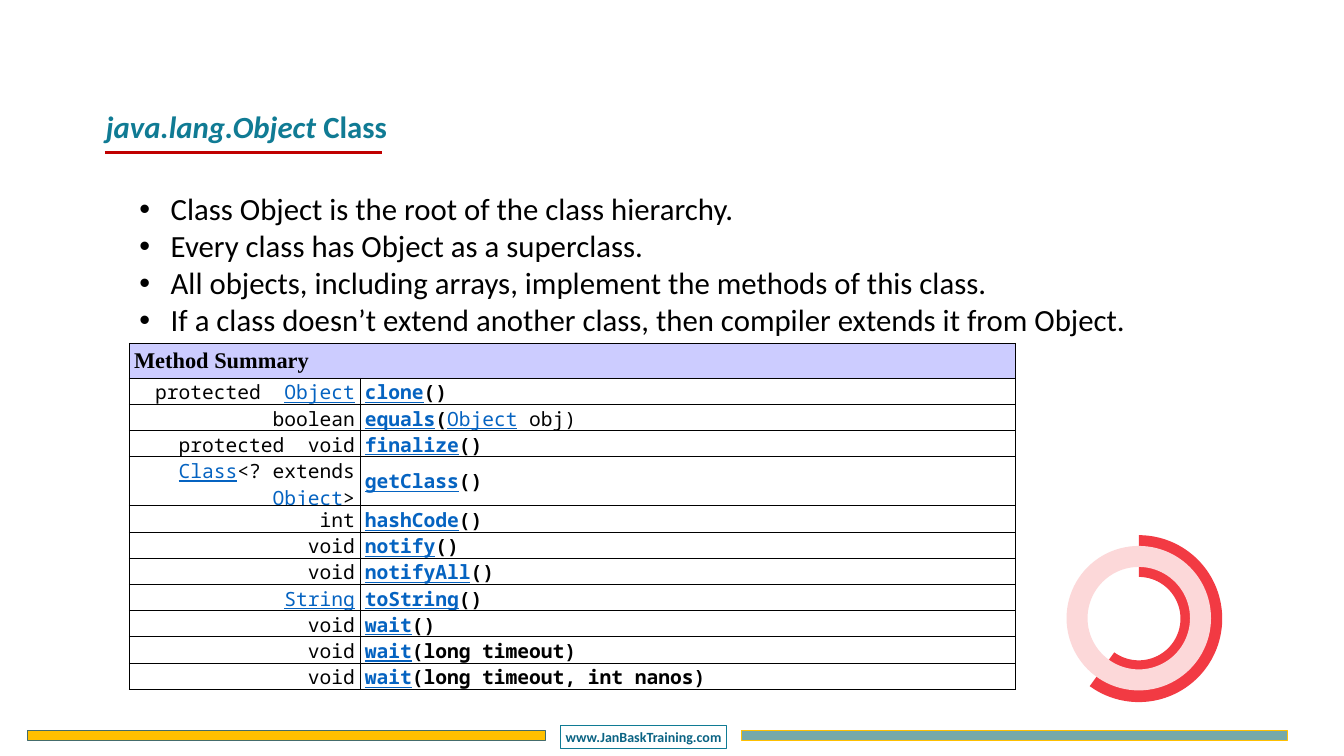
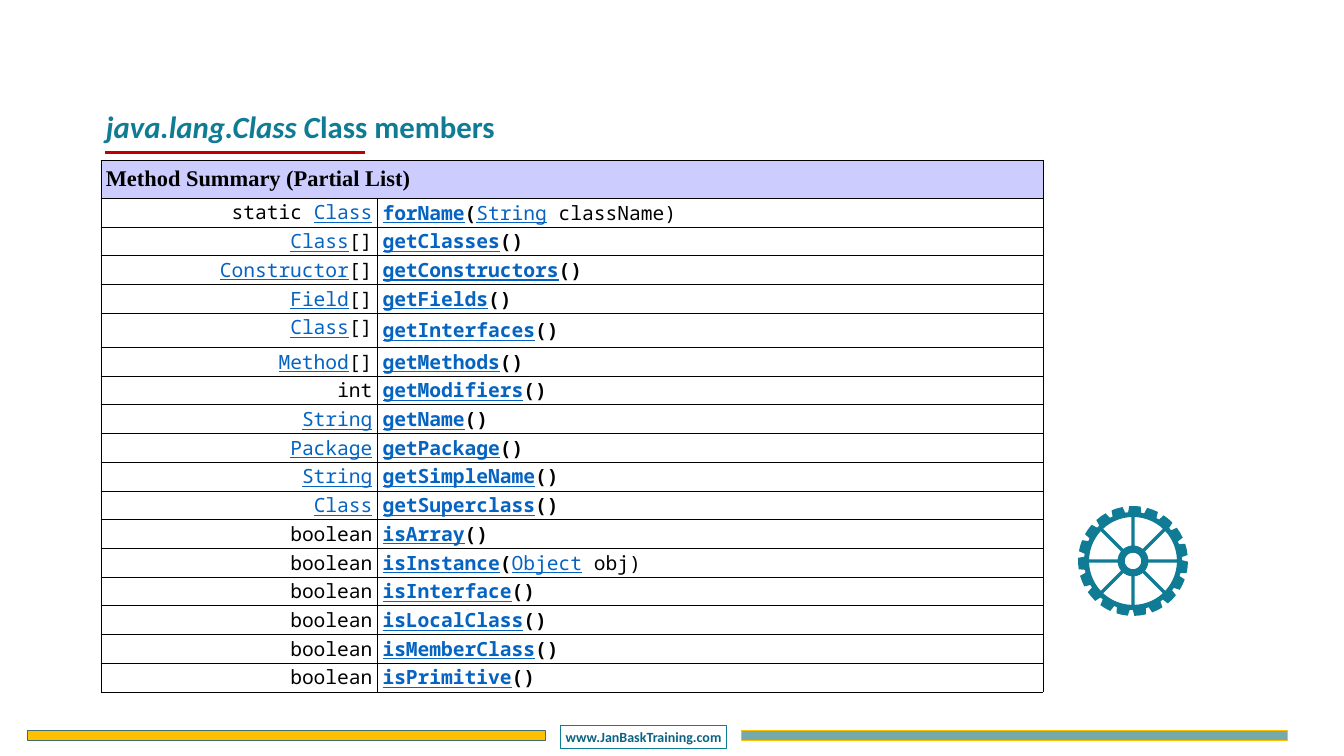
import math
from dataclasses import dataclass

from lxml import etree
from pptx import Presentation
from pptx import util as u
from pptx.chart.data import CategoryChartData
from pptx.dml.color import RGBColor
from pptx.enum import chart as charts, shapes, text
from pptx.oxml import parse_xml
from pptx.oxml.ns import nsdecls, qn


@dataclass(frozen=True)
class Theme:
    teal: str = "107B94"
    deep_teal: str = "0A6383"
    sage: str = "76A9A9"
    dark_sage: str = "446C6C"
    gold: str = "FFC000"
    crimson: str = "C00000"
    red: str = "F23A43"
    blush: str = "FCD8D9"
    link: str = "0563C1"
    lavender: str = "CCCCFF"
    black: str = "000000"
    white: str = "FFFFFF"
    sans: str = "Calibri"
    mono: str = "Noto Sans Mono"
    serif: str = "Times New Roman"
    chart_font: str = "Roboto"
    large: int = 44
    header: int = 32
    code: int = 28
    label: int = 20
    chart_size: int = 18


THEME = Theme()
WIDTH, HEIGHT = u.Inches(26.67), u.Inches(15)
COLUMN, ROW = WIDTH / 80, HEIGHT / 45


@dataclass(frozen=True)
class Box:
    left: float
    top: float
    width: float
    height: float

    def inside(self, left, top, width, height):
        return Box(self.left + left, self.top + top, width, height)

    def emu(self):
        return (round(self.left * COLUMN), round(self.top * ROW),
                round(self.width * COLUMN), round(self.height * ROW))


FOOTER = Box(1.62, 43.2, 75, 1.32)
HEADING = Box(6, 6.24, 56.1, 5.91)
BULLETS = Box(8, 11.16, 65.55, 9.18)
OBJECT_TABLE = Box(7.68, 20.43, 52.77, 22.17)
CLASS_TABLE = Box(6, 9.51, 56.1, 31.74)
DOUGHNUT = Box(60.78, 30.15, 13.23, 12.36)
GEAR = Box(64.17, 30.12, 6.54, 6.54)

OBJECT_METHODS = [
    ("protected  {Object}", "{clone}()"),
    ("boolean", "{equals}({Object} obj)"),
    ("protected  void", "{finalize}()"),
    ("{Class}<? extends {Object}>", "{getClass}()"),
    ("int", "{hashCode}()"),
    ("void", "{notify}()"),
    ("void", "{notifyAll}()"),
    ("{String}", "{toString}()"),
    ("void", "{wait}()"),
    ("void", "{wait}(long timeout)"),
    ("void", "{wait}(long timeout, int nanos)"),
]
CLASS_METHODS = [
    ("static {Class}", "{forName}({String} className)"),
    ("{Class}[]", "{getClasses}()"),
    ("{Constructor}[]", "{getConstructors}()"),
    ("{Field}[]", "{getFields}()"),
    ("{Class}[]", "{getInterfaces}()"),
    ("{Method}[]", "{getMethods}()"),
    ("int", "{getModifiers}()"),
    ("{String}", "{getName}()"),
    ("{Package}", "{getPackage}()"),
    ("{String}", "{getSimpleName}()"),
    ("{Class}", "{getSuperclass}()"),
    ("boolean", "{isArray}()"),
    ("boolean", "{isInstance}({Object} obj)"),
    ("boolean", "{isInterface}()"),
    ("boolean", "{isLocalClass}()"),
    ("boolean", "{isMemberClass}()"),
    ("boolean", "{isPrimitive}()"),
]


def assign(target, values):
    for name, value in values.items():
        setattr(target, name, value)


def place(shape, box):
    assign(shape, dict(zip(("left", "top", "width", "height"), box.emu())))


def paint(fill, colour):
    if colour:
        fill.solid()
        fill.fore_color.rgb = RGBColor.from_string(colour)
    else:
        fill.background()


def write(para, words, size, name, colour, **values):
    span = para.add_run()
    span.text = words
    assign(span.font, {"size": u.Pt(size), "name": name, **values})
    span.font.color.rgb = RGBColor.from_string(colour)


def add_preset(page, kind, box, fill=None, line=None, weight=1):
    shape = page.shapes.add_shape(kind, *box.emu())
    shape.shadow.inherit = False
    paint(shape.fill, fill)
    paint(shape.line.fill, line)
    shape.line.width = u.Pt(weight)
    return shape


def add_footer(page, box):
    bar = shapes.MSO_SHAPE.RECTANGLE
    left = add_preset(page, bar, box.inside(0, 0.3, 30.84, 0.54), THEME.gold, THEME.dark_sage)
    label = add_preset(page, bar, box.inside(31.74, 0, 9.9, 1.32), None, THEME.teal, 0.75)
    right = add_preset(page, bar, box.inside(42.51, 0.3, 32.49, 0.54), THEME.sage, THEME.gold)
    assign(label.text_frame, {"word_wrap": False,
                              "auto_size": text.MSO_AUTO_SIZE.SHAPE_TO_FIT_TEXT})
    para = label.text_frame.paragraphs[0]
    para.alignment = text.PP_ALIGN.CENTER
    write(para, "www.JanBaskTraining.com", THEME.label, THEME.sans, THEME.deep_teal, bold=True)
    return left, label, right


def share_on_master(deck, parts):
    tree = deck.slide_master.element.cSld.spTree
    for part in parts:
        tree.append(part.element)


def add_heading(page, box, slanted, upright, rule_length):
    title = page.shapes.title
    place(title, box)
    assign(title.text_frame, {"word_wrap": True, "auto_size": text.MSO_AUTO_SIZE.NONE,
                              "vertical_anchor": text.MSO_ANCHOR.TOP})
    para = title.text_frame.paragraphs[0]
    assign(para, {"alignment": text.PP_ALIGN.LEFT, "space_before": u.Pt(0),
                  "space_after": u.Pt(12)})
    for words, italic in ((slanted, True), (upright, False)):
        write(para, words, THEME.large, THEME.sans, THEME.teal, bold=True, italic=italic)
    left, top, length, _ = box.inside(0.24, 2.82, rule_length, 0).emu()
    rule = page.shapes.add_connector(shapes.MSO_CONNECTOR.STRAIGHT, left, top, left + length, top)
    paint(rule.line.fill, THEME.crimson)
    rule.line.width = u.Pt(4.5)
    etree.SubElement(rule.element.spPr, qn("a:effectLst"))


def add_bullets(page, box, lines):
    body = page.placeholders[1]
    place(body, box)
    frame = body.text_frame
    assign(frame, {"word_wrap": True, "auto_size": text.MSO_AUTO_SIZE.SHAPE_TO_FIT_TEXT})
    for index, line in enumerate(lines):
        para = frame.add_paragraph() if index else frame.paragraphs[0]
        assign(para, {"space_before": u.Pt(0), "space_after": u.Pt(0)})
        properties = para._p.get_or_add_pPr()
        properties.set("marL", str(u.Inches(0.62)))
        properties.set("indent", str(u.Inches(-0.62)))
        etree.SubElement(properties, qn("a:buChar"), char="•")
        write(para, line, THEME.large, THEME.sans, THEME.black)


def format_cell(cell, fill, anchor):
    assign(cell, {"margin_top": u.Inches(0.02), "margin_bottom": u.Inches(0.02),
                  "margin_left": u.Inches(0.1), "margin_right": u.Inches(0.1),
                  "vertical_anchor": anchor})
    paint(cell.fill, fill)
    properties = cell._tc.get_or_add_tcPr()
    for index, side in enumerate("LRTB"):
        properties.insert(index, parse_xml(
            f'<a:ln{side} {nsdecls("a")} w="{u.Pt(0.75)}"><a:solidFill>'
            f'<a:srgbClr val="{THEME.black}"/></a:solidFill></a:ln{side}>'))


def write_code(para, code, bold_parts=0):
    for index, words in enumerate(code.replace("}", "{").split("{")):
        is_link = index % 2 == 1
        if words:
            write(para, words, THEME.code, THEME.mono, THEME.link if is_link else THEME.black,
                  bold=index < bold_parts, underline=is_link)


def add_method_table(page, box, caption, methods, type_width, header_height, row_height, taller):
    frame = page.shapes.add_table(len(methods) + 1, 2, *box.emu())
    table = frame.table
    assign(table, {"first_row": False, "horz_banding": False})
    for column, width in zip(table.columns, (type_width, box.width - type_width)):
        column.width = round(width * COLUMN)
    heights = {0: header_height, **taller}
    for index, row in enumerate(table.rows):
        row.height = round(heights.get(index, row_height) * ROW)
    frame.height = round(box.height * ROW)

    middle, top = text.MSO_ANCHOR.MIDDLE, text.MSO_ANCHOR.TOP
    header = table.cell(0, 0)
    header.merge(table.cell(0, 1))
    for column in range(2):
        format_cell(table.cell(0, column), THEME.lavender, middle)
    write(header.text_frame.paragraphs[0], caption, THEME.header, THEME.serif,
          THEME.black, bold=True)
    for index, (returned, signature) in enumerate(methods, 1):
        type_cell, method_cell = table.cell(index, 0), table.cell(index, 1)
        format_cell(type_cell, THEME.white, top)
        format_cell(method_cell, THEME.white, middle)
        para = type_cell.text_frame.paragraphs[0]
        para.alignment = text.PP_ALIGN.RIGHT
        write_code(para, returned)
        write_code(method_cell.text_frame.paragraphs[0], signature, bold_parts=3)


def add_doughnut(page, box):
    data = CategoryChartData()
    data.categories = ["1", "2"]
    data.add_series("Series 1", (60, 40))
    chart = page.shapes.add_chart(charts.XL_CHART_TYPE.DOUGHNUT, *box.emu(), data).chart
    assign(chart, {"has_legend": False, "has_title": False})
    assign(chart.font, {"size": u.Pt(THEME.chart_size), "name": THEME.chart_font})
    chart.font.color.rgb = RGBColor.from_string(THEME.black)
    plot = chart.plots[0]
    plot.vary_by_categories = True
    for index, colour in enumerate((THEME.red, None)):
        point = plot.series[0].points[index]
        paint(point.format.fill, colour)
        point.format.line.fill.background()
    area = chart.element.chart.plotArea
    for old in area.findall(qn("c:layout")):
        area.remove(old)
    settings = {"layoutTarget": "inner", "xMode": "edge", "yMode": "edge",
                "x": 0.154, "y": 0.118, "w": 0.751, "h": 0.92}
    entries = "".join(f'<c:{key} val="{value}"/>' for key, value in settings.items())
    area.insert(0, parse_xml(f'<c:layout {nsdecls("c")}><c:manualLayout>{entries}'
                             '</c:manualLayout></c:layout>'))
    add_preset(page, shapes.MSO_SHAPE.OVAL, box.inside(3.33, 2.97, 7.35, 7.35),
               None, THEME.blush, 30)


def add_gear(page, box, teeth=19, spokes=8):
    left, top, width, height = box.emu()
    radius = width / 2

    def polar(share, degrees):
        angle = math.radians(degrees)
        return (left + radius + share * radius * math.sin(angle),
                top + height / 2 - share * radius * math.cos(angle))

    def arc(share, start, stop, steps=8):
        return [polar(share, start + (stop - start) * step / steps) for step in range(steps + 1)]

    rim = []
    for tooth in range(teeth):
        middle = 2 + tooth * 360 / teeth
        rim += [polar(0.89, middle - 7.7), *arc(1, middle - 6, middle + 6, 2),
                polar(0.89, middle + 7.7)]
    contours = [rim, arc(0.15, 360, 0, 24)]
    pitch = 360 / spokes
    outer_gap, hub_gap = (math.degrees(math.asin(0.03 / share)) for share in (0.8, 0.28))
    for spoke in range(spokes):
        start, stop = spoke * pitch, (spoke + 1) * pitch
        contours.append(arc(0.8, stop - outer_gap, start + outer_gap)
                        + arc(0.28, start + hub_gap, stop - hub_gap))

    builder = page.shapes.build_freeform(*rim[0])
    for index, contour in enumerate(contours):
        if index:
            builder.move_to(*contour[0])
        builder.add_line_segments(contour[1:], close=True)
    gear = builder.convert_to_shape()
    gear.shadow.inherit = False
    paint(gear.fill, THEME.teal)
    gear.line.fill.background()


def add_object_page(deck):
    page = deck.slides.add_slide(deck.slide_layouts[1])
    share_on_master(deck, add_footer(page, FOOTER))
    add_heading(page, HEADING, "java.lang.Object ", "Class", 16.5)
    add_bullets(page, BULLETS, [
        "Class Object is the root of the class hierarchy.",
        "Every class has Object as a superclass.",
        "All objects, including arrays, implement the methods of this class.",
        "If a class doesn’t extend another class, then compiler extends it from Object.",
    ])
    add_method_table(page, OBJECT_TABLE, "Method Summary", OBJECT_METHODS,
                     13.74, 2.07, 1.56, {4: 2.67})
    add_doughnut(page, DOUGHNUT)


def add_class_page(deck):
    page = deck.slides.add_slide(deck.slide_layouts[5])
    add_heading(page, HEADING, "java.lang.Class C", "lass members", 15.51)
    add_method_table(page, CLASS_TABLE, "Method Summary (Partial List)", CLASS_METHODS,
                     16.47, 2.28, 1.71, {5: 2.04})
    add_gear(page, GEAR)


def main():
    deck = Presentation()
    assign(deck, {"slide_width": WIDTH, "slide_height": HEIGHT})
    add_object_page(deck)
    add_class_page(deck)
    deck.save("out.pptx")


if __name__ == "__main__":
    main()
